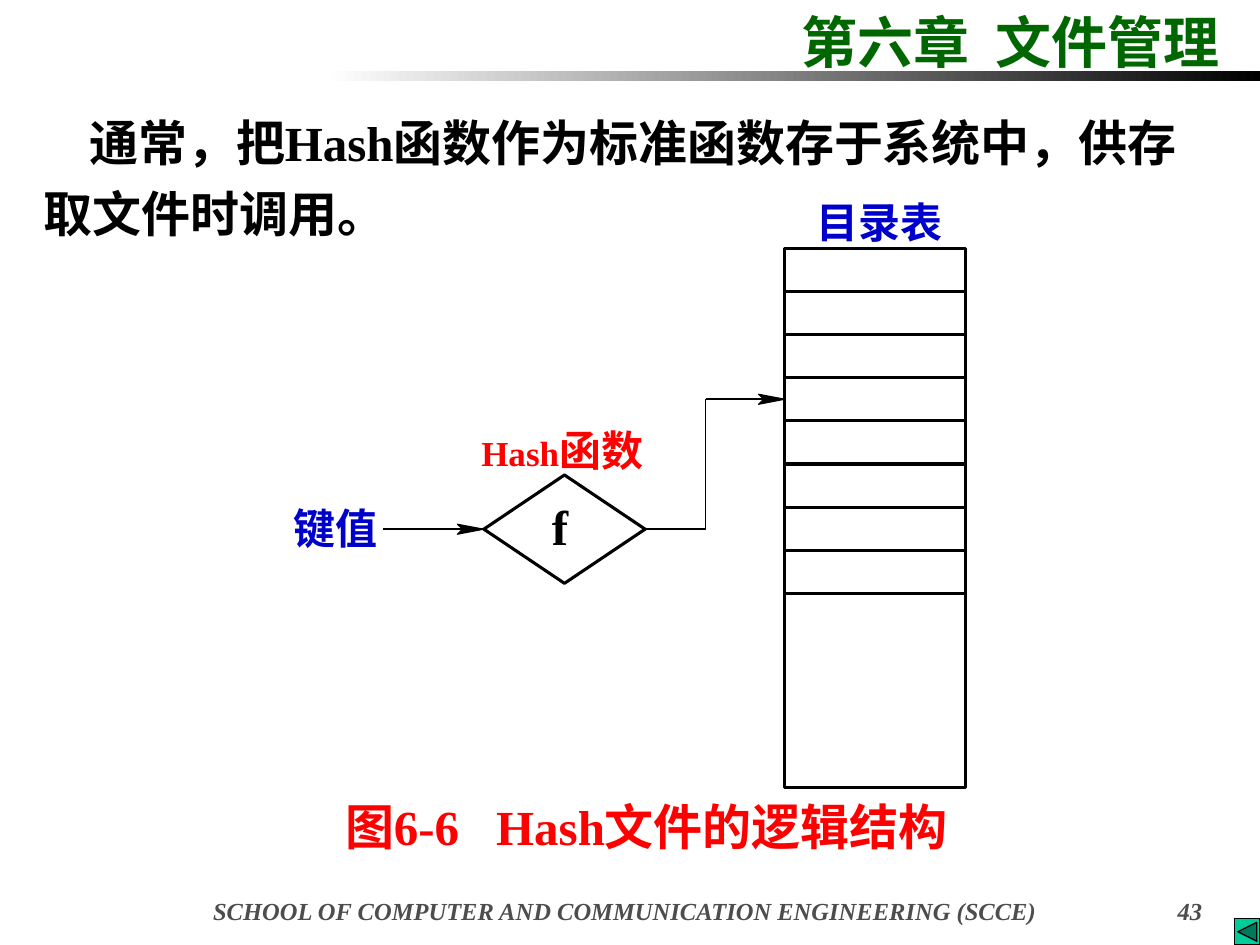
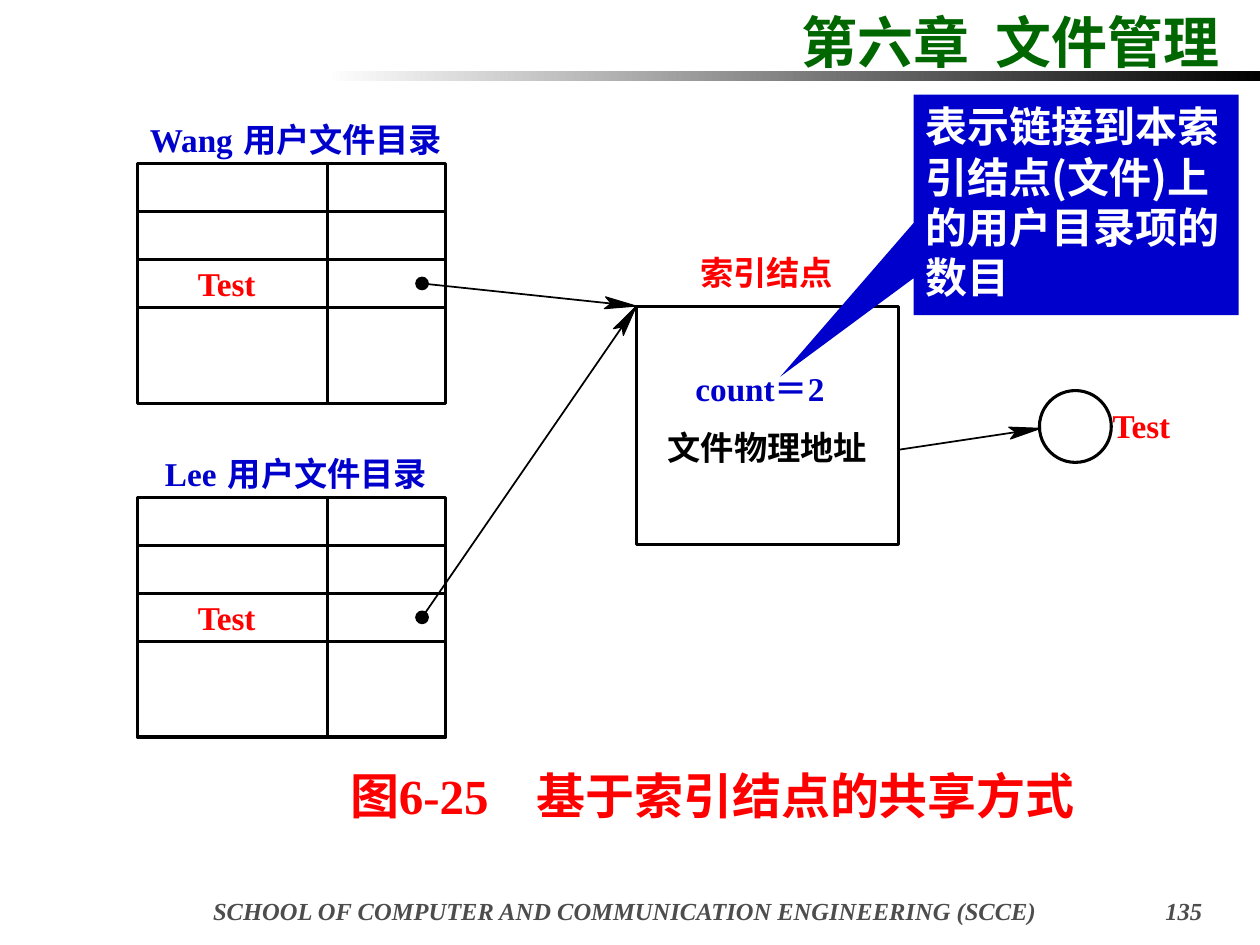
from math import hypot

from lxml.etree import SubElement
from pptx import Presentation
from pptx.dml.color import RGBColor
from pptx.enum.shapes import MSO_CONNECTOR, MSO_SHAPE
from pptx.enum.text import MSO_ANCHOR, PP_ALIGN
from pptx.oxml.ns import qn
from pptx.util import Inches, Pt

BLACK = RGBColor(0x00, 0x00, 0x00)
WHITE = RGBColor(0xFF, 0xFF, 0xFF)
GREEN = RGBColor(0x00, 0x66, 0x00)
TEAL = RGBColor(0x00, 0xCC, 0x99)
RED = RGBColor(0xFF, 0x00, 0x00)
BLUE = RGBColor(0x00, 0x00, 0xCC)
GREY = RGBColor(0x4D, 0x4D, 0x4D)

SERIF = "Times New Roman"
HAN = "Noto Sans CJK SC"
SCHOOL = "SCHOOL OF COMPUTER AND COMMUNICATION ENGINEERING (SCCE)"


class Deck:
    """Holds the shared style and the slide being drawn."""

    def __init__(self):
        self.show = Presentation()
        self.show.slide_width = Inches(10)
        self.show.slide_height = Inches(7.5)
        self.slide = None

    def page(self, number):
        """Start a slide with the chapter title, the band and the footer."""
        self.slide = self.show.slides.add_slide(self.show.slide_layouts[6])
        self.text((6.26, 0.01, 3.6, 0.64), "第六章\t文件管理", 32, GREEN,
                  pad=0.1, tab=1.54)
        self.band((2.58, 0.56, 7.42, 0.08))
        foot = {"pad": 0.1, "italic": True}
        self.text((1.22, 7.06, 7.48, 0.26), SCHOOL, 14, GREY,
                  align=PP_ALIGN.CENTER, **foot)
        self.text((8.7, 7.06, 0.94, 0.24), str(number), 14, GREY,
                  align=PP_ALIGN.RIGHT, **foot)

    def band(self, box):
        fill = self.shape(box, MSO_SHAPE.RECTANGLE, line=None).fill
        fill.gradient()
        fill.gradient_angle = 180
        for stop, place, color in zip(fill.gradient_stops, (0, 1), (BLACK, WHITE)):
            stop.position = place
            stop.color.rgb = color

    def paint(self, shape, fill, line, width):
        shape.shadow.inherit = False
        shape.fill.solid()
        shape.fill.fore_color.rgb = fill
        if line is None:
            shape.line.fill.background()
        else:
            shape.line.color.rgb = line
            shape.line.width = Pt(width)
        return shape

    def shape(self, box, kind=MSO_SHAPE.RECTANGLE, fill=WHITE, line=BLACK, width=1.75):
        shape = self.slide.shapes.add_shape(kind, *map(Inches, box))
        return self.paint(shape, fill, line, width)

    def text(self, box, words, size, color, **style):
        shape = self.slide.shapes.add_textbox(*map(Inches, box))
        self.label(shape, words, size, color, **style)

    def label(self, shape, words, size, color, font=SERIF, pad=0, tab=None,
              indent=0, spacing=None, align=PP_ALIGN.LEFT, italic=False):
        """Fill a shape; words is a string or a list of (string, changes)."""
        frame = shape.text_frame
        frame.word_wrap = True
        frame.vertical_anchor = MSO_ANCHOR.TOP
        frame.margin_left = frame.margin_right = Inches(pad)
        frame.margin_top = frame.margin_bottom = Inches(pad / 2)
        para = frame.paragraphs[0]
        para.alignment = align
        if spacing:
            para.line_spacing = spacing
        props = para._p.get_or_add_pPr()
        if indent:
            props.set("indent", str(Inches(indent)))
        if tab:
            stops = SubElement(props, qn("a:tabLst"))
            SubElement(stops, qn("a:tab"), pos=str(Inches(tab)), algn="l")
        base = {"size": Pt(size), "name": font, "bold": True, "italic": italic}
        for part, change in [(words, {})] if isinstance(words, str) else words:
            run = para.add_run()
            run.text = part
            for key, value in {**base, **change}.items():
                setattr(run.font, key, value)
            run.font.color.rgb = color
            SubElement(run._r.get_or_add_rPr(), qn("a:ea"), typeface=HAN)

    def line(self, start, end, source=None, target=None):
        """Draw a line; source and target are (shape, side) pairs to join."""
        link = self.slide.shapes.add_connector(
            MSO_CONNECTOR.STRAIGHT, *map(Inches, (*start, *end)))
        if source:
            link.begin_connect(*source)
        if target:
            link.end_connect(*target)
        link.line.color.rgb = BLACK
        link.line.width = Pt(1)
        SubElement(link._element.spPr, qn("a:effectLst"))

    def arrow(self, start, end, size=0.25, **joins):
        """Draw a line that ends in a long barbed head."""
        self.line(start, end, **joins)
        span = hypot(end[0] - start[0], end[1] - start[1])
        ux, uy = [(b - a) / span for a, b in zip(start, end)]

        def spot(back, side):
            return (Inches(end[0] - back * size * ux - side * size * uy),
                    Inches(end[1] - back * size * uy + side * size * ux))

        tip, *rest = [spot(*p) for p in ((0, 0), (1, 0.19), (0.8, 0), (1, -0.19))]
        outline = self.slide.shapes.build_freeform(*tip)
        outline.add_line_segments(rest, close=True)
        self.paint(outline.convert_to_shape(), BLACK, BLACK, 0.62)


def hash_page(deck):
    deck.page(43)
    deck.text((0.25, 0.75, 9.38, 1.22),
              [("通常，把", {}), ("Hash", {"name": SERIF}),
               ("函数作为标准函数存于系统中，供存取文件时调用。", {})],
              28, BLACK, font=HAN, pad=0.1, indent=0.36, spacing=1.2)

    left, top, wide = 6.23, 1.97, 1.43
    row = (4.71 - top) / 8
    cells = [deck.shape((left, top + i * row, wide, row)) for i in range(8)]
    deck.shape((left, 4.71, wide, 1.54))

    func = deck.shape((3.84, 3.77, 1.28, 0.86), MSO_SHAPE.DIAMOND)
    deck.text((4.38, 3.94, 0.3, 0.47), "f", 28, BLACK)
    mid, hit, bend = 4.2, top + 3.5 * row, 5.6
    deck.arrow((3.04, mid), (3.84, mid), 0.21, target=(func, 1))
    deck.line((5.12, mid), (bend, mid), source=(func, 3))
    deck.line((bend, mid), (bend, hit))
    deck.arrow((bend, hit), (left, hit), 0.21, target=(cells[3], 1))

    deck.text((3.82, 3.37, 1.6, 0.4),
              [("Hash", {"size": Pt(20)}), ("函数", {})], 24, RED)
    deck.text((6.48, 1.56, 1.2, 0.4), "目录表", 24, BLUE)
    deck.text((2.33, 3.99, 0.7, 0.4), "键值", 24, BLUE)
    deck.text((2.64, 6.27, 5.4, 0.57), "图6-6\tHash文件的逻辑结构", 28, RED,
              pad=0.1, tab=1.2)
    deck.shape((9.8, 7.29, 0.2, 0.21), MSO_SHAPE.ACTION_BUTTON_BACK_OR_PREVIOUS,
               fill=TEAL, width=0.75)


def folder(deck, top, user, name_x, label_x):
    """Draw one user's directory and return the centre of its pointer dot."""
    row = 0.38
    deck.text((name_x, top - 0.35, 0.8, 0.32), user, 19, BLUE)
    deck.text((label_x, top - 0.35, 1.8, 0.32), "用户文件目录", 19, BLUE, font=HAN)
    for i, tall in enumerate((row, row, row, 2 * row)):
        for left, wide in ((1.09, 1.51), (2.6, 0.94)):
            deck.shape((left, top + i * row, wide, tall))
    deck.text((1.57, top + 0.79, 0.7, 0.32), "Test", 19, RED)
    x, y = 3.35, top + 2.5 * row
    deck.shape((x - 0.05, y - 0.05, 0.1, 0.1), MSO_SHAPE.OVAL, fill=BLACK, width=0.62)
    return x, y


def share_page(deck):
    deck.page(135)
    dots = [folder(deck, 1.3, "Wang", 1.19, 1.93),
            folder(deck, 3.95, "Lee", 1.31, 1.81)]
    node = (5.05, 2.43)
    deck.shape((*node, 2.08, 1.89))
    for dot in dots:
        deck.arrow(dot, node)
    deck.text((5.56, 2, 1.3, 0.32), "索引结点", 19, RED, font=HAN)
    deck.text((5.52, 2.92, 1.4, 0.32), "count＝2", 19, BLUE)
    deck.text((5.3, 3.39, 1.8, 0.32), "文件物理地址", 19, BLACK, font=HAN)

    deck.shape((8.25, 3.1, 0.57, 0.57), MSO_SHAPE.OVAL)
    deck.arrow((7.13, 3.57), (8.26, 3.4))
    deck.text((8.83, 3.22, 0.7, 0.32), "Test", 19, RED)

    note = deck.shape((7.25, 0.75, 2.58, 1.75), MSO_SHAPE.RECTANGULAR_CALLOUT,
                      fill=BLUE, line=None)
    note.adjustments[0], note.adjustments[1] = -0.91, 0.78
    deck.label(note, "表示链接到本索引结点(文件)上的用户目录项的数目", 24, WHITE,
               font=HAN, pad=0.1)
    deck.text((2.68, 6.03, 6.3, 0.57), "图6-25\t基于索引结点的共享方式", 28, RED,
              pad=0.1, tab=1.48)


def main():
    deck = Deck()
    hash_page(deck)
    share_page(deck)
    deck.show.save("out.pptx")


if __name__ == "__main__":
    main()
